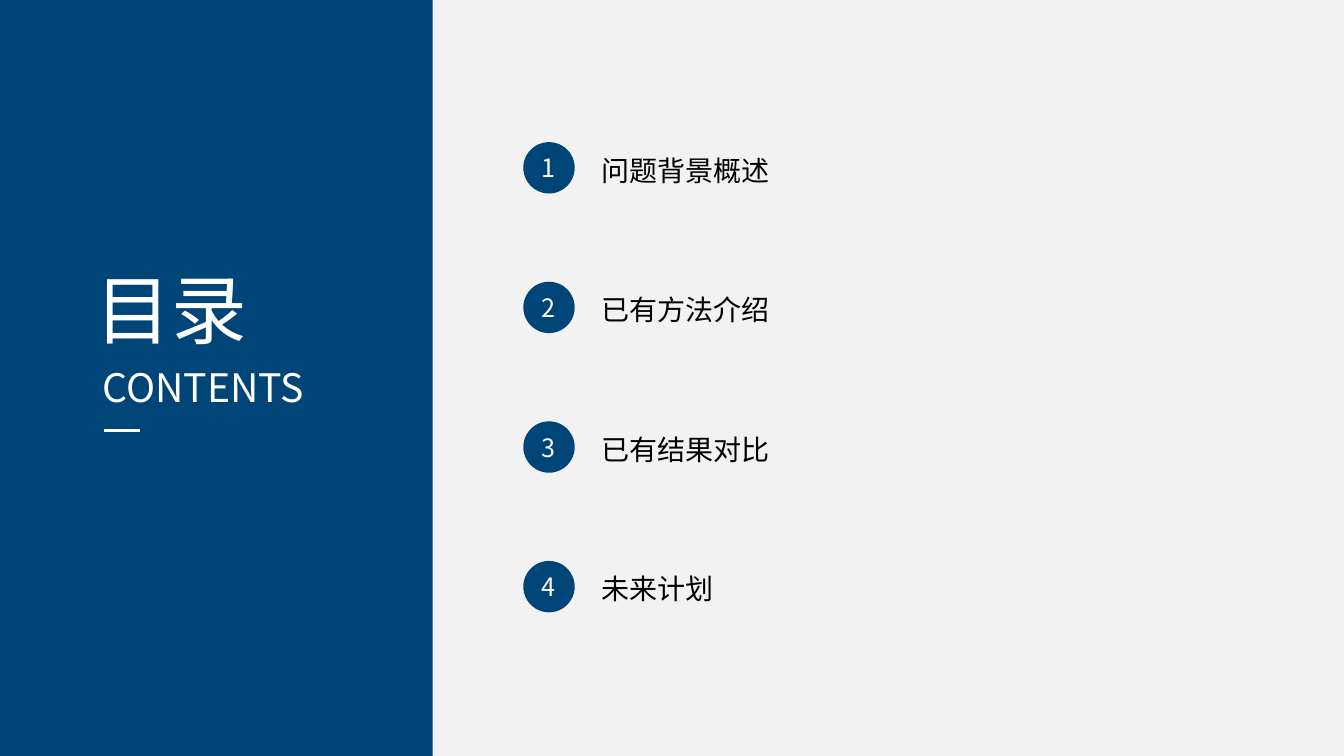
"""Build a contents slide with a blue title panel and four numbered topics."""
import pptx
import pptx.dml.color
import pptx.enum.shapes
import pptx.enum.text
import pptx.oxml.ns
import pptx.util
import lxml.etree
from dataclasses import dataclass

Inches = pptx.util.Inches
Align = pptx.enum.text.PP_ALIGN
Shapes = pptx.enum.shapes.MSO_SHAPE

TITLE = "目录"
SUBTITLE = "CONTENTS"
TOPICS = ["问题背景概述", "已有方法介绍", "已有结果对比", "未来计划"]


@dataclass(frozen=True)
class Theme:
    font: str = "Noto Sans CJK SC"
    blue: str = "004578"
    background: str = "F2F2F2"
    white: str = "FFFFFF"
    black: str = "000000"
    title_size: int = 54
    subtitle_size: int = 28
    topic_size: int = 20
    number_size: int = 18
    rule_width: float = 2.25


THEME = Theme()
SLIDE_WIDTH, SLIDE_HEIGHT = 13.33, 7.5
PANEL_WIDTH = 4.29
TITLE_BOX = (0.85, 2.56, 1.78, 1.01)
SUBTITLE_BOX = (0.92, 3.56, 2.45, 0.57)
RULE_LEFT, RULE_RIGHT, RULE_TOP = 1.03, 1.39, 4.27
BADGE_LEFT, BADGE_SIZE = 5.19, 0.51
TOPIC_LEFT, TOPIC_WIDTH, TOPIC_HEIGHT = 5.87, 3.73, 0.45
FIRST_ROW, ROW_STEP, TOPIC_DROP = 1.41, 1.385, 0.06


def rgb(value):
    return pptx.dml.color.RGBColor.from_string(value)


def write(frame, text, size, color, align):
    paragraph = frame.paragraphs[0]
    paragraph.alignment = align
    run = paragraph.add_run()
    run.text = text
    run.font.size = pptx.util.Pt(size)
    run.font.color.rgb = rgb(color)
    run.font.name = THEME.font
    east_asian = lxml.etree.SubElement(run.font._element, pptx.oxml.ns.qn("a:ea"))
    east_asian.set("typeface", THEME.font)


def add_text(slide, box, text, size, color, align):
    frame = slide.shapes.add_textbox(*map(Inches, box)).text_frame
    frame.word_wrap = True
    frame.auto_size = pptx.enum.text.MSO_AUTO_SIZE.SHAPE_TO_FIT_TEXT
    write(frame, text, size, color, align)


def add_blue_shape(slide, kind, box):
    shape = slide.shapes.add_shape(kind, *map(Inches, box))
    shape.shadow.inherit = False
    shape.fill.solid()
    shape.fill.fore_color.rgb = rgb(THEME.blue)
    shape.line.fill.background()
    return shape


def add_title_panel(slide):
    add_blue_shape(slide, Shapes.RECTANGLE, (0, 0, PANEL_WIDTH, SLIDE_HEIGHT))
    add_text(slide, TITLE_BOX, TITLE, THEME.title_size, THEME.white, Align.JUSTIFY)
    add_text(slide, SUBTITLE_BOX, SUBTITLE, THEME.subtitle_size, THEME.white, Align.JUSTIFY)
    rule = slide.shapes.add_connector(
        pptx.enum.shapes.MSO_CONNECTOR.STRAIGHT,
        *map(Inches, (RULE_LEFT, RULE_TOP, RULE_RIGHT, RULE_TOP)),
    )
    rule.line.color.rgb = rgb(THEME.white)
    rule.line.width = pptx.util.Pt(THEME.rule_width)
    lxml.etree.SubElement(rule._element.spPr, pptx.oxml.ns.qn("a:effectLst"))


def add_topic(slide, number, topic):
    top = FIRST_ROW + (number - 1) * ROW_STEP
    badge = add_blue_shape(slide, Shapes.OVAL, (BADGE_LEFT, top, BADGE_SIZE, BADGE_SIZE))
    frame = badge.text_frame
    frame.margin_left = frame.margin_right = frame.margin_top = frame.margin_bottom = 0
    frame.vertical_anchor = pptx.enum.text.MSO_ANCHOR.MIDDLE
    write(frame, str(number), THEME.number_size, THEME.white, Align.CENTER)
    topic_box = (TOPIC_LEFT, top + TOPIC_DROP, TOPIC_WIDTH, TOPIC_HEIGHT)
    add_text(slide, topic_box, topic, THEME.topic_size, THEME.black, Align.LEFT)


def main():
    deck = pptx.Presentation()
    deck.slide_width, deck.slide_height = Inches(SLIDE_WIDTH), Inches(SLIDE_HEIGHT)
    slide = deck.slides.add_slide(deck.slide_layouts[6])
    slide.background.fill.solid()
    slide.background.fill.fore_color.rgb = rgb(THEME.background)
    add_title_panel(slide)
    for number, topic in enumerate(TOPICS, start=1):
        add_topic(slide, number, topic)
    deck.save("out.pptx")


if __name__ == "__main__":
    main()
